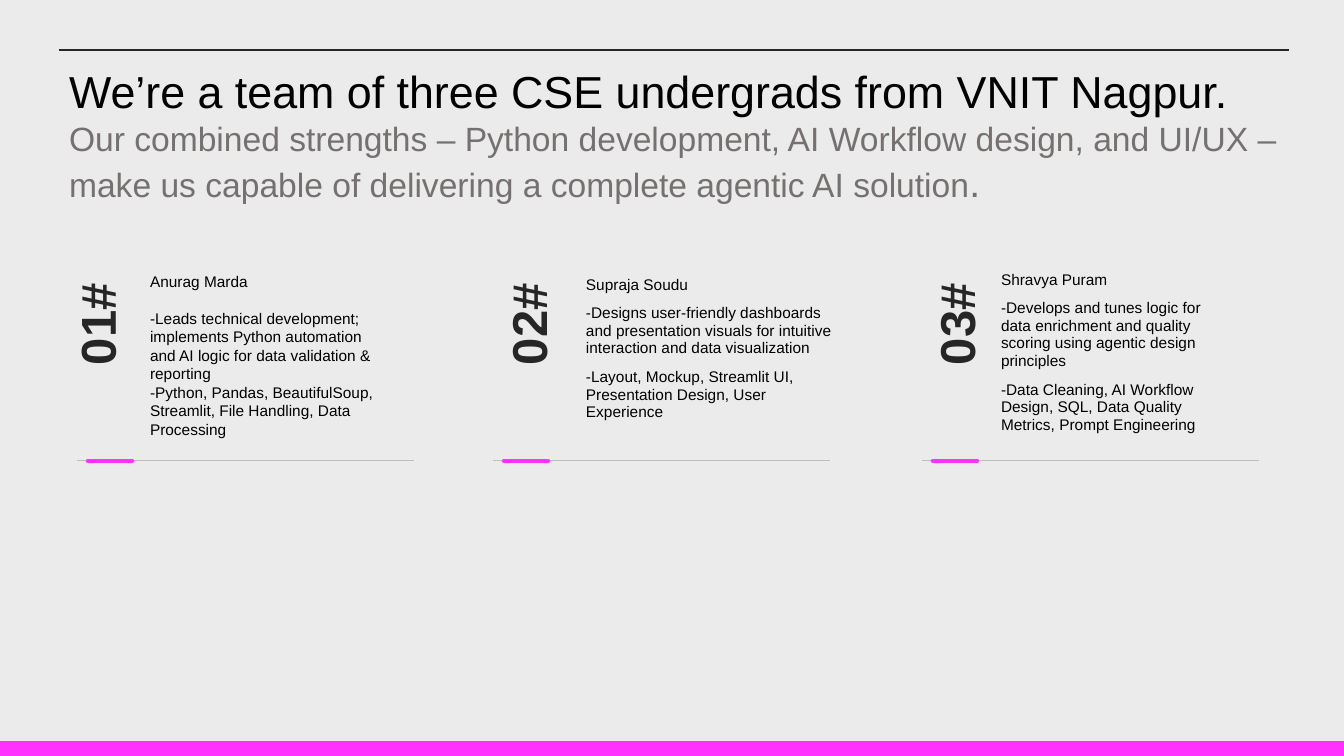
"""Build the team slide: a headline, three member profiles and accent rules."""
import lxml.etree
import pptx
import pptx.dml.color
import pptx.enum.shapes
import pptx.enum.text
import pptx.oxml.ns
import pptx.util

PX = 914400 / 100.8
THEME = {
    "font": "Arial",
    "background": "EBEBEB", "text": "000000", "muted": "767171",
    "dark": "262626", "rule": "BFBFBF", "accent": "FF32FF",
    "headline": 32, "summary": 24, "stop": 28, "number": 35, "profile": 11,
}
MEMBERS = [
    {"number": "01#", "number_left": 38, "rule_left": 77,
     "box": (140, 267, 252, 178), "inset": (10, 5),
     "line_spacing": 1.0, "gaps": (13.2, 0, 0),
     "profile": [
         "Anurag Marda",
         "-Leads technical development; implements Python automation and AI logic for data validation & reporting",
         "-Python, Pandas, BeautifulSoup, Streamlit, File Handling, Data Processing"]},
    {"number": "02#", "number_left": 469, "rule_left": 493,
     "box": (586, 276, 262, 129), "inset": (0, 0),
     "line_spacing": 0.95, "gaps": (8, 8, 8),
     "profile": [
         "Supraja Soudu",
         "-Designs user-friendly dashboards and presentation visuals for intuitive interaction and data visualization",
         "-Layout, Mockup, Streamlit UI, Presentation Design, User Experience"]},
    {"number": "03#", "number_left": 897, "rule_left": 922,
     "box": (1001, 271, 216, 164), "inset": (0, 0),
     "line_spacing": 0.95, "gaps": (8, 8, 8),
     "profile": [
         "Shravya Puram",
         "-Develops and tunes logic for data enrichment and quality scoring using agentic design principles",
         "-Data Cleaning, AI Workflow Design, SQL, Data Quality Metrics, Prompt Engineering"]},
]
RULE_TOP, RULE_WIDTH, ACCENT_OFFSET, ACCENT_WIDTH = 461, 337, 11, 44

presentation = pptx.Presentation()
presentation.slide_width = round(1344 * PX)
presentation.slide_height = round(756 * PX)
slide = presentation.slides.add_slide(presentation.slide_layouts.get_by_name("Comparison"))
slide.background.fill.solid()
slide.background.fill.fore_color.rgb = pptx.dml.color.RGBColor.from_string(THEME["background"])


def prepare_text(shape, box, inset):
    """Place a text shape and return its cleared frame."""
    shape.left, shape.top, shape.width, shape.height = [round(length * PX) for length in box]
    frame = shape.text_frame
    frame.word_wrap = True
    frame.auto_size = pptx.enum.text.MSO_AUTO_SIZE.NONE
    frame.vertical_anchor = pptx.enum.text.MSO_ANCHOR.TOP
    frame.margin_left = frame.margin_right = round(inset[0] * PX)
    frame.margin_top = frame.margin_bottom = round(inset[1] * PX)
    return frame


def add_run(paragraph, text, size, color, bold=False):
    """Add one formatted run to a left-aligned paragraph."""
    paragraph.alignment = pptx.enum.text.PP_ALIGN.LEFT
    run = paragraph.add_run()
    run.text = text
    run.font.name = THEME["font"]
    run.font.size = pptx.util.Pt(THEME[size])
    run.font.bold = bold
    run.font.color.rgb = pptx.dml.color.RGBColor.from_string(THEME[color])


title_frame = prepare_text(slide.shapes.title, (59, 59, 1269, 152), (10, 5))
headline = title_frame.paragraphs[0]
add_run(headline, "We’re a team of three CSE undergrads from VNIT Nagpur.", "headline", "text")
headline.add_line_break()
add_run(headline, "Our combined strengths – Python development, AI Workflow design, and UI/UX – "
        "make us capable of delivering a complete agentic AI solution", "summary", "muted")
add_run(headline, ".", "stop", "muted")

bodies = [shape for shape in slide.placeholders if shape.placeholder_format.idx > 0]
for body, member in zip(bodies, MEMBERS):
    profile_frame = prepare_text(body, member["box"], member["inset"])
    for index, (text, gap) in enumerate(zip(member["profile"], member["gaps"])):
        paragraph = profile_frame.add_paragraph() if index else profile_frame.paragraphs[0]
        add_run(paragraph, text, "profile", "text")
        paragraph.line_spacing = member["line_spacing"]
        paragraph.space_before = pptx.util.Pt(0)
        paragraph.space_after = pptx.util.Pt(gap)
        properties = paragraph._p.get_or_add_pPr()
        properties.set("marL", "0")
        properties.set("indent", "0")
        lxml.etree.SubElement(properties, pptx.oxml.ns.qn("a:buNone"))

    number_box = slide.shapes.add_textbox(0, 0, 0, 0)
    number_frame = prepare_text(number_box, (member["number_left"], 281, 118, 70), (10, 5))
    number_box.rotation = 270
    add_run(number_frame.paragraphs[0], member["number"], "number", "dark", bold=True)

for unused in bodies[len(MEMBERS):]:
    unused.element.getparent().remove(unused.element)

lines = [(59, 50, 1230, "dark", 1.5, "flat"), (0, 749, 1344, "accent", 12, "flat")]
for member in MEMBERS:
    left = member["rule_left"]
    lines.append((left, RULE_TOP, RULE_WIDTH, "rule", 0.75, "flat"))
    lines.append((left + ACCENT_OFFSET, RULE_TOP, ACCENT_WIDTH, "accent", 3.25, "rnd"))

for left, top, width, color, weight, cap in lines:
    connector = slide.shapes.add_connector(
        pptx.enum.shapes.MSO_CONNECTOR.STRAIGHT,
        round(left * PX), round(top * PX), round((left + width) * PX), round(top * PX))
    connector.line.color.rgb = pptx.dml.color.RGBColor.from_string(THEME[color])
    connector.line.width = pptx.util.Pt(weight)
    connector.line._get_or_add_ln().set("cap", cap)
    lxml.etree.SubElement(connector._element.spPr, pptx.oxml.ns.qn("a:effectLst"))

presentation.save("out.pptx")
